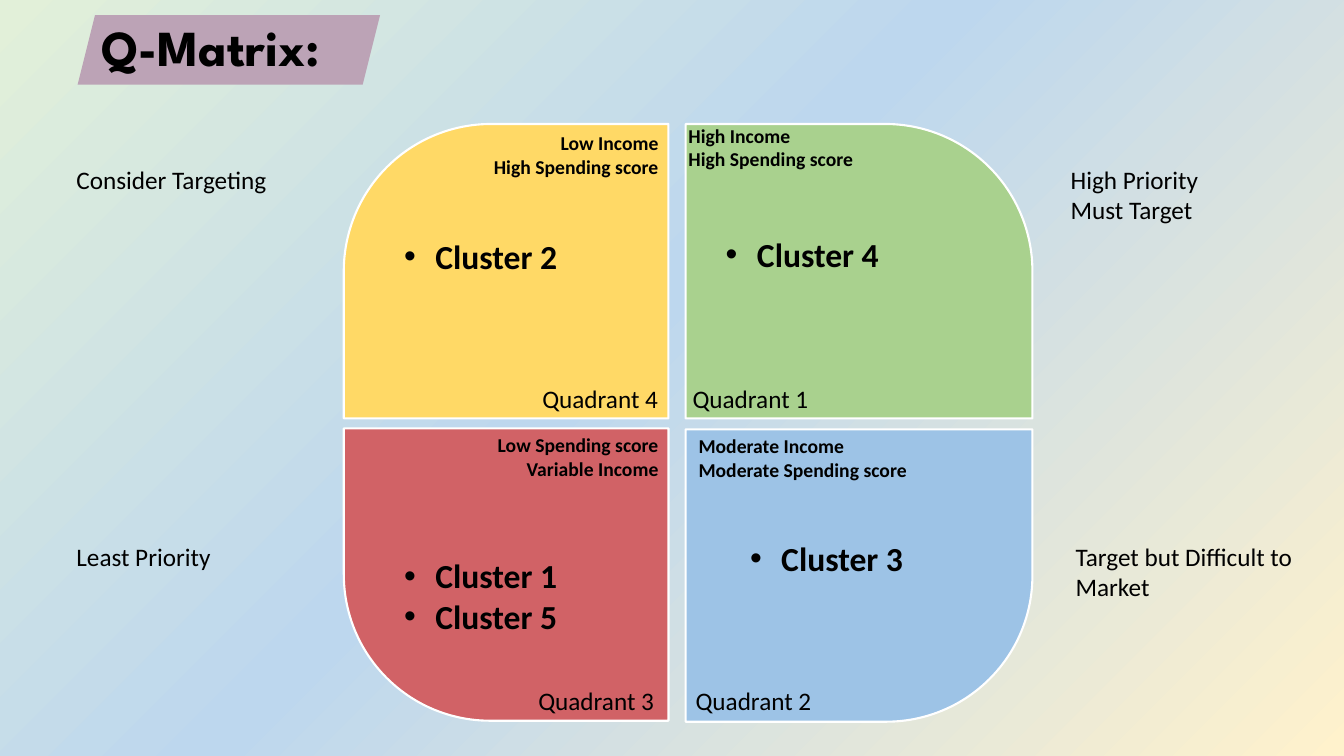
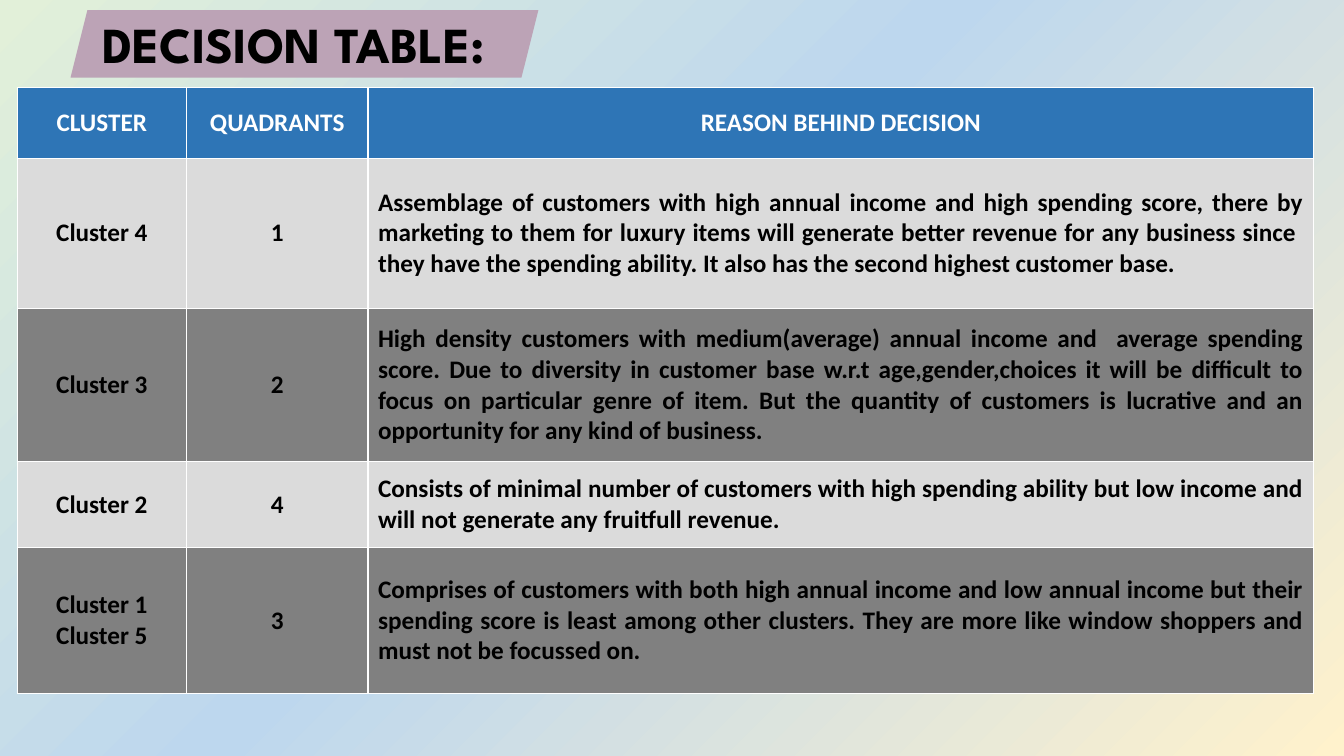
from copy import deepcopy

from lxml import etree
from pptx import Presentation, util as u
from pptx.dml.color import RGBColor
from pptx.enum import shapes, text
from pptx.oxml.ns import qn

BODY_FONT, TITLE_FONT = "Calibri", "League Spartan"
BLACK, WHITE, TITLE_BAND = "000000", "FFFFFF", "BCA3B6"
BACKDROP = [(0, "E2F0D9"), (0.46, "BDD7EE"), (1, "FFF2CC")]
LEFT, CENTER, RIGHT, JUSTIFY = (
    text.PP_ALIGN.LEFT, text.PP_ALIGN.CENTER, text.PP_ALIGN.RIGHT, text.PP_ALIGN.JUSTIFY)

# Each text is (left, top, width, height, lines).
QUADRANTS = [
    {"tile": (3.41, 1.23, 3.22, 2.92), "fill": "FFD966", "flip": True, "turn": 0, "align": RIGHT,
     "traits": (4.39, 1.25, 2.24, 0.87, ["Low Income", "High Spending score"]),
     "name": (5.28, 3.75, 1.49, 0.4, ["Quadrant 4"]),
     "clusters": (3.91, 2.29, 2.64, 0.5, ["Cluster 2"]),
     "advice": (0.66, 1.58, 2.64, 0.4, ["Consider Targeting"])},
    {"tile": (6.8, 1.23, 3.44, 2.92), "fill": "A9D18E", "flip": False, "turn": 0, "align": LEFT,
     "traits": (6.73, 1.18, 2.1, 0.87, ["High Income", "High Spending score"]),
     "name": (6.77, 3.75, 1.49, 0.4, ["Quadrant 1"]),
     "clusters": (7.1, 2.27, 2.64, 0.5, ["Cluster 4"]),
     "advice": (10.52, 1.58, 2.64, 0.71, ["High Priority", "Must Target"])},
    {"tile": (3.41, 4.25, 3.22, 2.9), "fill": "D16266", "flip": False, "turn": 180, "align": RIGHT,
     "traits": (4.32, 4.25, 2.31, 0.87, ["Low Spending score", "Variable Income"]),
     "name": (5.24, 6.75, 1.49, 0.4, ["Quadrant 3"]),
     "clusters": (3.91, 5.46, 2.64, 0.91, ["Cluster 1", "Cluster 5"]),
     "advice": (0.66, 5.32, 2.64, 0.4, ["Least Priority"])},
    {"tile": (6.8, 4.26, 3.44, 2.9), "fill": "9DC3E6", "flip": True, "turn": 180, "align": LEFT,
     "traits": (6.83, 4.26, 2.84, 0.87, ["Moderate Income", "Moderate Spending score"]),
     "name": (6.8, 6.75, 1.49, 0.4, ["Quadrant 2"]),
     "clusters": (7.34, 5.29, 2.15, 0.5, ["Cluster 3"]),
     "advice": (10.57, 5.32, 2.64, 0.71, ["Target but Difficult to Market"])},
]

DECISIONS = [
    (["CLUSTER"], "QUADRANTS", "REASON BEHIND DECISION"),
    (["Cluster 4"], "1",
     "Assemblage of customers with high annual income and high spending score, there by "
     "marketing to them for luxury items will generate better revenue for any business since  "
     "they have the spending ability. It also has the second highest customer base."),
    (["Cluster 3"], "2",
     "High density customers with medium(average) annual income and  average spending score. "
     "Due to diversity in customer base w.r.t age,gender,choices it will be difficult to focus "
     "on particular genre of item. But the quantity of customers is lucrative and an "
     "opportunity for any kind of business."),
    (["Cluster 2"], "4",
     "Consists of minimal number of customers with high spending ability but low income and "
     "will not generate any fruitfull revenue."),
    (["Cluster 1", "Cluster 5"], "3",
     "Comprises of customers with both high annual income and low annual income but their "
     "spending score is least among other clusters. They are more like window shoppers and "
     "must not be focussed on."),
]
COLUMN_WIDTHS = [1.68, 1.8, 9.38]
ROW_HEIGHTS = [0.7, 1.49, 1.52, 0.85, 1.45]
HEADER_FILL, BAND_FILLS = "2E75B6", ["DBDBDB", "808080"]


def color(code):
    return RGBColor.from_string(code)


def inches(values):
    return [u.Inches(value) for value in values]


def add_bullet(para):
    props = para._p.get_or_add_pPr()
    props.set("marL", str(u.Inches(0.31)))
    props.set("indent", str(u.Inches(-0.31)))
    etree.SubElement(props, qn("a:buFont")).set("typeface", "Arial")
    etree.SubElement(props, qn("a:buChar")).set("char", "•")


def write(frame, lines, size, bold=False, align=LEFT, ink=BLACK, font=BODY_FONT, bullets=False):
    for index, line in enumerate(lines):
        para = frame.add_paragraph() if index else frame.paragraphs[0]
        para.alignment = align
        if bullets:
            add_bullet(para)
        span = para.add_run()
        span.text = line
        span.font.name, span.font.size, span.font.bold = font, u.Pt(size), bold
        span.font.color.rgb = color(ink)


def add_text(page, place, lines, size, **style):
    frame = page.shapes.add_textbox(*inches(place)).text_frame
    frame.word_wrap = True
    write(frame, lines, size, **style)
    return frame


def add_block(page, kind, place, fill):
    block = page.shapes.add_shape(kind, *inches(place))
    block.shadow.inherit = False
    block.fill.solid()
    block.fill.fore_color.rgb = color(fill)
    block.line.fill.background()
    return block


def paint_backdrop(page):
    fill = page.background.fill
    fill.gradient()
    fill.gradient_angle = 315
    stop_list = page._element.find(".//" + qn("a:gsLst"))
    stop_list.append(deepcopy(stop_list[-1]))
    for stop, (position, code) in zip(fill.gradient_stops, BACKDROP):
        stop.position = position
        stop.color.rgb = color(code)


def add_page(deck, title, band_place, title_place):
    page = deck.slides.add_slide(deck.slide_layouts[6])
    paint_backdrop(page)
    add_block(page, shapes.MSO_SHAPE.PARALLELOGRAM, band_place, TITLE_BAND)
    frame = add_text(page, title_place, [title], 36, bold=True, font=TITLE_FONT)
    frame.vertical_anchor = text.MSO_ANCHOR.MIDDLE
    frame.paragraphs[0].line_spacing = 0.9
    return page


def add_tile(page, quadrant):
    """Draw a quadrant whose rounded corner points away from the centre."""
    tile = add_block(page, shapes.MSO_SHAPE.ROUND_1_RECTANGLE, quadrant["tile"], quadrant["fill"])
    tile.adjustments[0] = 0.5
    tile.line.color.rgb = color(WHITE)
    tile.line.width = u.Pt(1.5)
    tile.rotation = quadrant["turn"]
    if quadrant["flip"]:
        tile._element.spPr.find(qn("a:xfrm")).set("flipH", "1")


def build_matrix(deck):
    page = add_page(deck, "Q-Matrix:", (0.77, 0.15, 3, 0.69), (0.91, 0.03, 3.42, 0.93))
    for quadrant in QUADRANTS:
        add_tile(page, quadrant)
    styles = {
        "traits": {"size": 14, "bold": True},
        "name": {"size": 18},
        "clusters": {"size": 24, "bold": True, "bullets": True},
        "advice": {"size": 18},
    }
    for quadrant in QUADRANTS:
        for part, style in styles.items():
            *place, lines = quadrant[part]
            align = quadrant["align"] if part == "traits" else LEFT
            add_text(page, place, lines, align=align, **style)


def build_decisions(deck):
    page = add_page(deck, "DECISION TABLE:", (0.7, 0.1, 4.64, 0.67), (0.92, 0.04, 5.36, 0.86))
    place = (0.17, 0.87, sum(COLUMN_WIDTHS), sum(ROW_HEIGHTS))
    table = page.shapes.add_table(len(ROW_HEIGHTS), len(COLUMN_WIDTHS), *inches(place)).table
    table.horz_banding = False
    for column, width in zip(table.columns, COLUMN_WIDTHS):
        column.width = u.Inches(width)
    for index, (clusters, number, reason) in enumerate(DECISIONS):
        table.rows[index].height = u.Inches(ROW_HEIGHTS[index])
        is_header = index == 0
        fill = HEADER_FILL if is_header else BAND_FILLS[(index - 1) % 2]
        reason_align = CENTER if is_header else JUSTIFY
        entries = [(clusters, CENTER), ([number], CENTER), ([reason], reason_align)]
        for cell, (lines, align) in zip(table.rows[index].cells, entries):
            cell.fill.solid()
            cell.fill.fore_color.rgb = color(fill)
            cell.vertical_anchor = text.MSO_ANCHOR.MIDDLE
            write(cell.text_frame, lines, 18, bold=True, align=align,
                  ink=WHITE if is_header else BLACK)


def main():
    deck = Presentation()
    deck.slide_width, deck.slide_height = inches((13.33, 7.5))
    build_matrix(deck)
    build_decisions(deck)
    deck.save("out.pptx")


if __name__ == "__main__":
    main()
